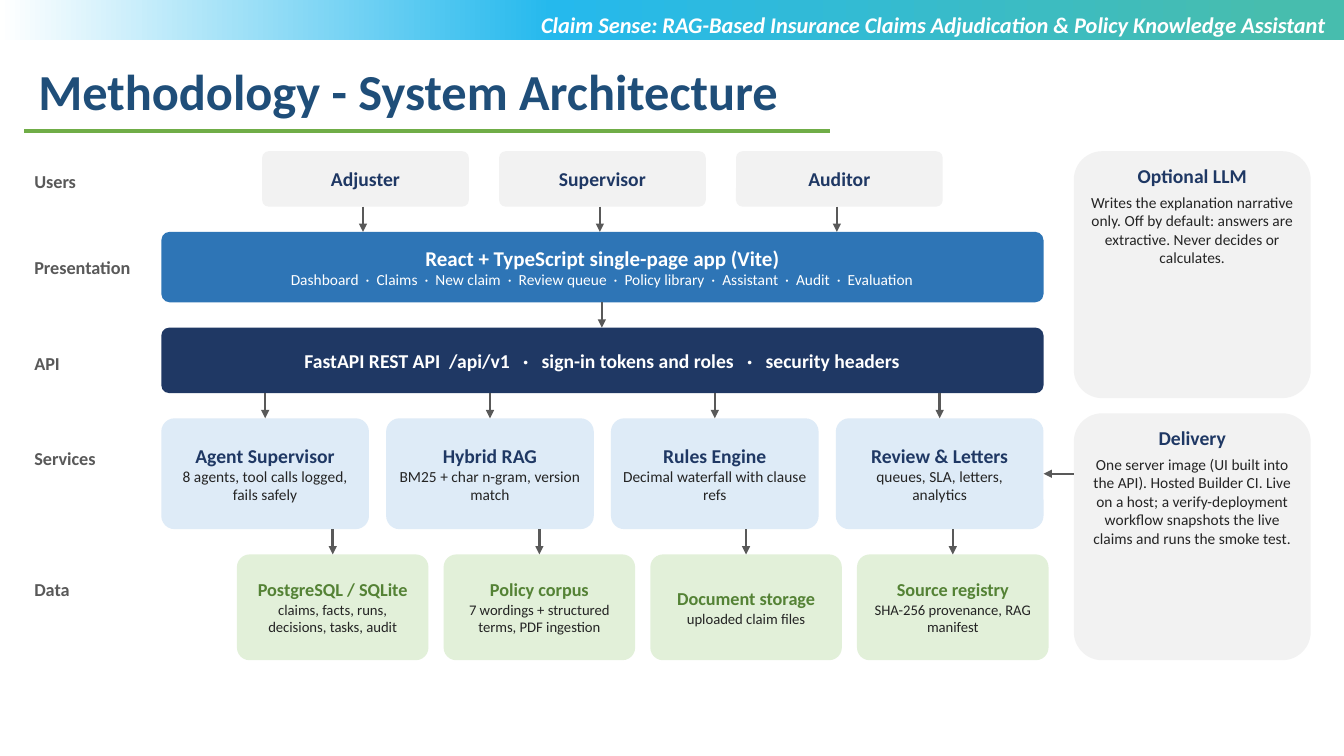
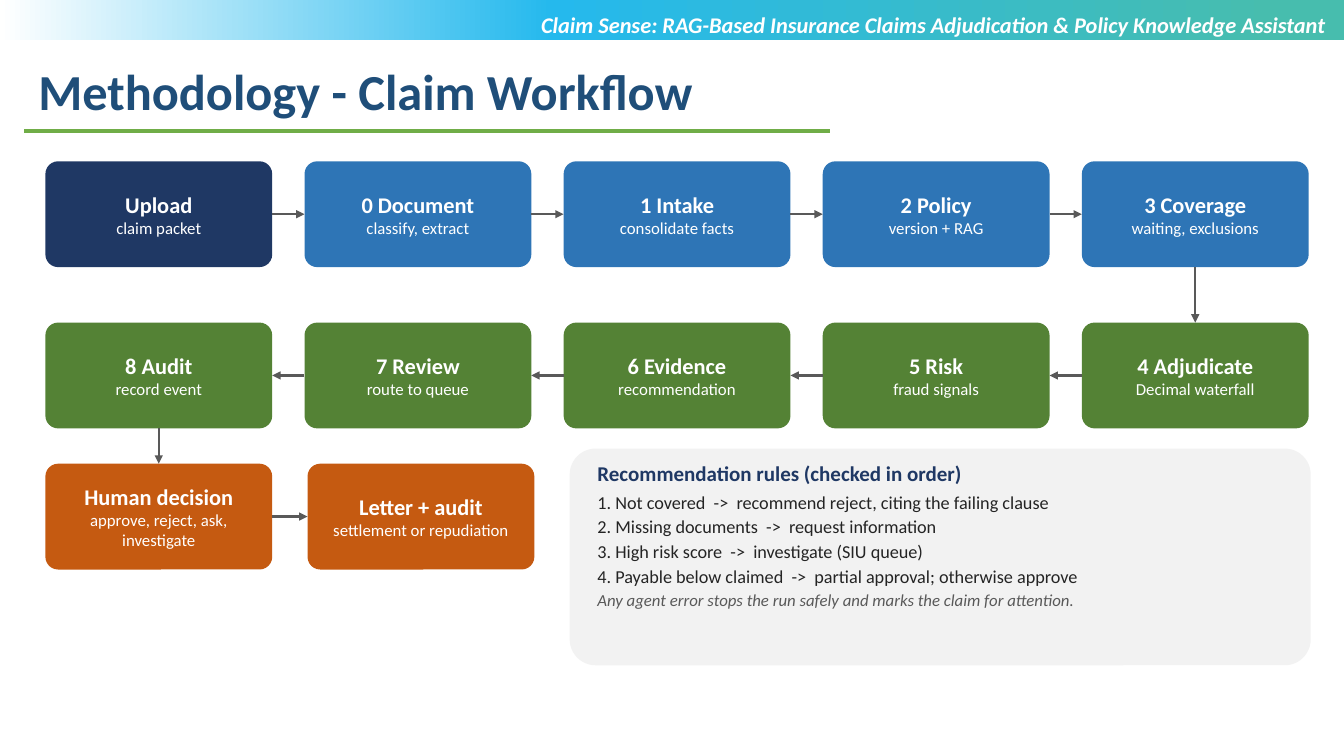
from copy import deepcopy

from lxml.etree import SubElement
from pptx import Presentation
from pptx.dml.color import RGBColor
from pptx.enum.shapes import MSO_CONNECTOR, MSO_SHAPE
from pptx.enum.text import MSO_ANCHOR, MSO_AUTO_SIZE, PP_ALIGN
from pptx.oxml.ns import qn
from pptx.util import Inches, Pt

COLORS = {
    "white": "FFFFFF", "teal": "47BDAE", "sky": "25B9ED", "title": "1F4E79",
    "rule": "70AD47", "gray": "595959", "pale": "F2F2F2", "navy": "1F3864",
    "blue": "2E75B6", "ice": "DEEBF7", "mint": "E2F0D9", "green": "548235",
    "orange": "C55A11", "ink": "242424",
}
FONT = "Calibri"
HEADER = "Claim Sense: RAG-Based Insurance Claims Adjudication & Policy Knowledge Assistant"


def rgb(name):
    """Return the named palette colour."""
    return RGBColor.from_string(COLORS[name])


def add_text(tf, text, size=14, color="ink", bold=False, italic=False,
             align=PP_ALIGN.CENTER, after=0):
    """Write one formatted paragraph at the end of a text frame."""
    p = tf.paragraphs[0] if not tf.text else tf.add_paragraph()
    p.alignment = align
    p.space_after = Pt(after)
    r = p.add_run()
    r.text = text
    font = r.font
    font.name, font.size, font.bold, font.italic = FONT, Pt(size), bold, italic
    font.color.rgb = rgb(color)


def set_frame(tf, anchor, inset_x, inset_y):
    """Set wrapping, anchor and insets of a text frame."""
    tf.word_wrap = True
    tf.auto_size = MSO_AUTO_SIZE.NONE
    tf.vertical_anchor = anchor
    tf.margin_left = tf.margin_right = Inches(inset_x)
    tf.margin_top = tf.margin_bottom = Inches(inset_y)


def add_label(s, box, text, anchor=MSO_ANCHOR.MIDDLE, inset=(0.04, 0.02), **style):
    """Place a plain text box."""
    tf = s.shapes.add_textbox(*map(Inches, box)).text_frame
    set_frame(tf, anchor, *inset)
    add_text(tf, text, **style)


def add_card(s, box, fill, lines, anchor=MSO_ANCHOR.MIDDLE, inset=0.08):
    """Place a rounded card holding (text, format) lines."""
    sp = s.shapes.add_shape(MSO_SHAPE.ROUNDED_RECTANGLE, *map(Inches, box))
    sp.adjustments[0] = 0.12
    sp.shadow.inherit = False
    sp.fill.solid()
    sp.fill.fore_color.rgb = rgb(fill)
    sp.line.fill.background()
    set_frame(sp.text_frame, anchor, inset, 0.04)
    for text, style in lines:
        add_text(sp.text_frame, text, **style)


def head_and_detail(head, detail, size, small, color="white", detail_color="white", after=0):
    """Return the lines of a card with a bold head and a smaller detail."""
    return [(head, dict(size=size, color=color, bold=True, after=after)),
            (detail, dict(size=small, color=detail_color))]


def add_line(s, start, end, color="gray", width=1.75, arrow=True):
    """Draw a straight line, with an arrowhead at its end if asked."""
    line = s.shapes.add_connector(MSO_CONNECTOR.STRAIGHT, *map(Inches, (*start, *end)))
    line.line.color.rgb = rgb(color)
    line.line.width = Pt(width)
    if arrow:
        SubElement(line.line._get_or_add_ln(), qn("a:tailEnd"), type="triangle")
    SubElement(line._element.spPr, qn("a:effectLst"))


def add_drops(s, x, step, count, top, bottom):
    """Draw equally spaced downward arrows."""
    for i in range(count):
        add_line(s, (x + i * step, top), (x + i * step, bottom))


def add_band(s, box):
    """Draw the gradient band across the top."""
    sp = s.shapes.add_shape(MSO_SHAPE.RECTANGLE, *map(Inches, box))
    sp.shadow.inherit = False
    sp.line.fill.background()
    sp.fill.gradient()
    sp.fill.gradient_angle = 180
    stops = sp._element.spPr.find(".//" + qn("a:gsLst"))
    stops.append(deepcopy(stops[0]))
    bands = ((0.05, "teal"), (0.59, "sky"), (1, "white"))
    for stop, (position, color) in zip(sp.fill.gradient_stops, bands):
        stop.position = position
        stop.color.rgb = rgb(color)


def new_slide(prs, title):
    """Add a slide with the shared band, header, title and rule."""
    s = prs.slides.add_slide(prs.slide_layouts[5])
    add_band(s, (0, 0, 13.33, 0.4))
    sp = s.shapes.title
    sp.left, sp.top, sp.width, sp.height = map(Inches, (0.28, 0.55, 11.62, 0.71))
    set_frame(sp.text_frame, MSO_ANCHOR.TOP, 0.1, 0.05)
    add_text(sp.text_frame, title, size=36, color="title", bold=True, align=PP_ALIGN.LEFT)
    add_line(s, (0.24, 1.3), (8.23, 1.3), "rule", 2.25, arrow=False)
    add_label(s, (3.4, 0.06, 9.85, 0.71), HEADER, MSO_ANCHOR.TOP, (0.1, 0.05),
              size=16, color="white", bold=True, italic=True, align=PP_ALIGN.RIGHT)
    return s


def add_card_row(s, box, gap, fill, cards):
    """Place a row of equal cards starting from the box of the first."""
    x, y, w, h = box
    for i, lines in enumerate(cards):
        add_card(s, (x + i * (w + gap), y, w, h), fill, lines)


def add_layer_names(s, x, w):
    """Name the layers down the left side."""
    layers = (("Users", 1.5), ("Presentation", 2.35), ("API", 3.3),
              ("Services", 4.25), ("Data", 5.55))
    for name, y in layers:
        add_label(s, (x, y, w, 0.6), name, size=13, color="gray", bold=True,
                  align=PP_ALIGN.LEFT)


def add_layers(s, x, y, w):
    """Stack the layers from users down to data."""
    users = [[(name, dict(color="navy", bold=True))]
             for name in ("Adjuster", "Supervisor", "Auditor")]
    add_card_row(s, (x + 1, y, 2.05, 0.55), 0.3, "pale", users)
    add_card(s, (x, y + 0.8, w, 0.7), "blue", head_and_detail(
        "React + TypeScript single-page app (Vite)",
        "Dashboard  ·  Claims  ·  New claim  ·  Review queue  ·  Policy library"
        "  ·  Assistant  ·  Audit  ·  Evaluation", 15, 11))
    add_card(s, (x, y + 1.75, w, 0.65), "navy", [(
        "FastAPI REST API  /api/v1   ·   sign-in tokens and roles   ·   security headers",
        dict(color="white", bold=True))])
    services = (
        ("Agent Supervisor", "8 agents, tool calls logged, fails safely"),
        ("Hybrid RAG", "BM25 + char n-gram, version match"),
        ("Rules Engine", "Decimal waterfall with clause refs"),
        ("Review & Letters", "queues, SLA, letters, analytics"),
    )
    add_card_row(s, (x, y + 2.65, 2.06, 1.1), 0.17, "ice",
                 [head_and_detail(*item, 14, 11, "navy", "ink") for item in services])
    stores = (
        ("PostgreSQL / SQLite", "claims, facts, runs, decisions, tasks, audit"),
        ("Policy corpus", "7 wordings + structured terms, PDF ingestion"),
        ("Document storage", "uploaded claim files"),
        ("Source registry", "SHA-256 provenance, RAG manifest"),
    )
    add_card_row(s, (x + 0.75, y + 4, 1.9, 1.05), 0.15, "mint",
                 [head_and_detail(*item, 13, 10.5, "green", "ink") for item in stores])
    drops = ((2, 2.35, 3, 0.55), (4.37, 0, 1, 1.5), (1.03, 2.23, 4, 2.4), (1.7, 2.05, 4, 3.75))
    for dx, step, count, dy in drops:
        add_drops(s, x + dx, step, count, y + dy, y + dy + 0.25)


def add_side_notes(s, x, y, w):
    """Place the two notes at the right and the arrow into the services."""
    notes = (
        ("Optional LLM", "Writes the explanation narrative only. Off by default: "
         "answers are extractive. Never decides or calculates."),
        ("Delivery", "One server image (UI built into the API). Hosted Builder CI. "
         "Live on a host; a verify-deployment workflow snapshots the live claims "
         "and runs the smoke test."),
    )
    for i, (head, detail) in enumerate(notes):
        add_card(s, (x, y + i * 2.6, w, 2.45), "pale",
                 head_and_detail(head, detail, 14, 11, "navy", "ink", after=4), MSO_ANCHOR.TOP)
    add_line(s, (x, y + 3.2), (x - 0.3, y + 3.2))


def add_flow(s, x, y):
    """Lay out the claim steps right, back left, then to the decision."""
    w, h, gap = 2.25, 1.05, 0.32
    pitch, mid = w + gap, h / 2
    back = y + 1.6
    last = y + 3
    forward = (("Upload", "claim packet"), ("0 Document", "classify, extract"),
               ("1 Intake", "consolidate facts"), ("2 Policy", "version + RAG"),
               ("3 Coverage", "waiting, exclusions"))
    returning = (("8 Audit", "record event"), ("7 Review", "route to queue"),
                 ("6 Evidence", "recommendation"), ("5 Risk", "fraud signals"),
                 ("4 Adjudicate", "Decimal waterfall"))
    closing = (("Human decision", "approve, reject, ask, investigate"),
               ("Letter + audit", "settlement or repudiation"))
    rows = ((y, gap, "blue", forward), (back, gap, "green", returning),
            (last, 0.35, "orange", closing))
    for top, space, fill, steps in rows:
        cards = [head_and_detail(*step, 16, 12) for step in steps]
        if steps is forward:
            add_card(s, (x, top, w, h), "navy", cards[0])
            add_card_row(s, (x + pitch, top, w, h), space, fill, cards[1:])
        else:
            add_card_row(s, (x, top, w, h), space, fill, cards)
        for i in range(len(steps) - 1):
            left = x + w + i * (w + space)
            ends = [(left, top + mid), (left + space, top + mid)]
            add_line(s, *(reversed(ends) if steps is returning else ends))
    add_drops(s, x + 4 * pitch + w / 2, 0, 1, y + h, back)
    add_drops(s, x + w / 2, 0, 1, back + h, last)


def add_rules(s, box):
    """Place the panel of recommendation rules."""
    rules = ("1. Not covered  ->  recommend reject, citing the failing clause",
             "2. Missing documents  ->  request information",
             "3. High risk score  ->  investigate (SIU queue)",
             "4. Payable below claimed  ->  partial approval; otherwise approve")
    left = PP_ALIGN.LEFT
    lines = [("Recommendation rules (checked in order)",
              dict(size=15, color="navy", bold=True, align=left, after=4))]
    lines += [(rule, dict(size=13, align=left, after=2)) for rule in rules]
    lines.append(("Any agent error stops the run safely and marks the claim for attention.",
                  dict(size=12, color="gray", italic=True, align=left)))
    add_card(s, box, "pale", lines, MSO_ANCHOR.TOP, 0.2)


def architecture_slide(prs):
    """Build the system architecture slide."""
    s = new_slide(prs, "Methodology - System Architecture")
    add_layer_names(s, 0.3, 1.25)
    add_layers(s, 1.6, 1.5, 8.75)
    add_side_notes(s, 10.65, 1.5, 2.35)


def workflow_slide(prs):
    """Build the claim workflow slide."""
    s = new_slide(prs, "Methodology - Claim Workflow")
    add_flow(s, 0.45, 1.6)
    add_rules(s, (5.65, 4.45, 7.35, 2.15))


def main():
    """Build and save the presentation."""
    prs = Presentation()
    prs.slide_width, prs.slide_height = Inches(13.33), Inches(7.5)
    architecture_slide(prs)
    workflow_slide(prs)
    prs.save("out.pptx")


if __name__ == "__main__":
    main()
